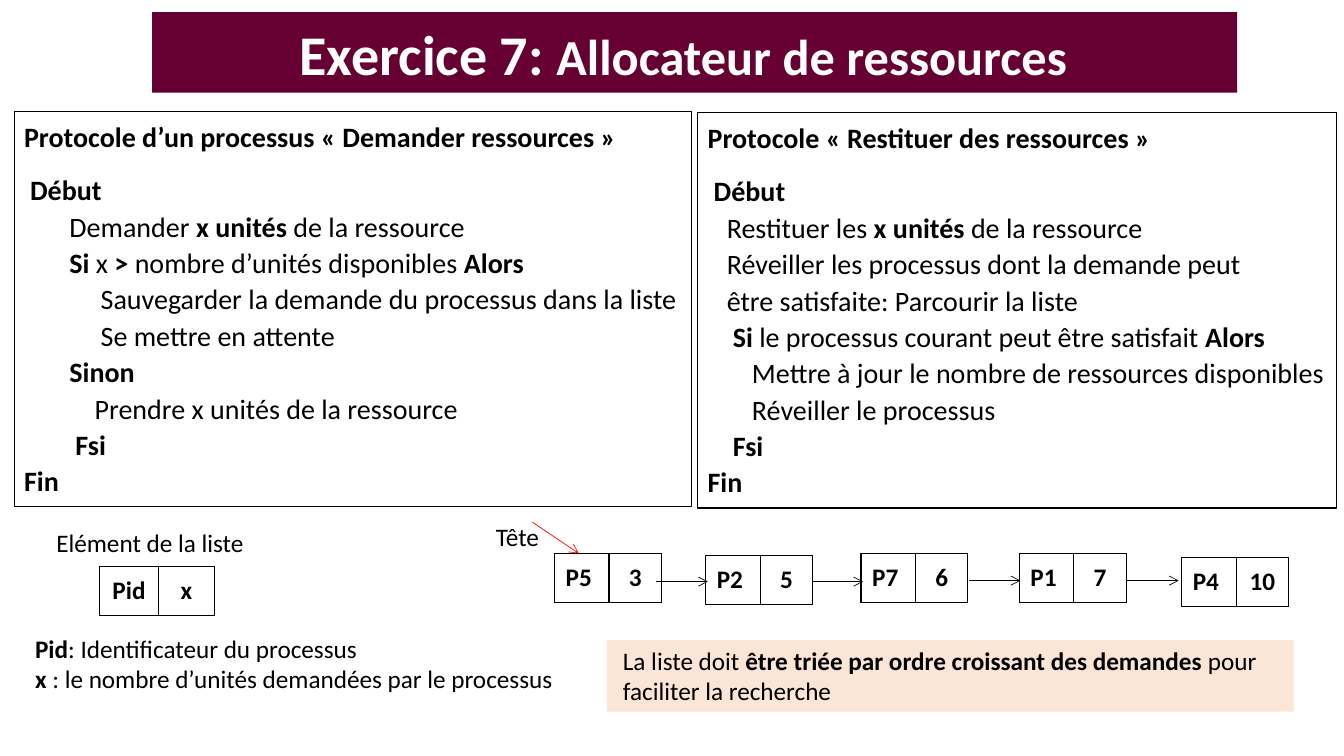
from dataclasses import dataclass

from lxml import etree
from pptx import Presentation
from pptx.dml.color import RGBColor
from pptx.enum.shapes import MSO_CONNECTOR, MSO_SHAPE
from pptx.enum.text import MSO_ANCHOR, MSO_AUTO_SIZE, PP_ALIGN
from pptx.oxml.ns import qn
from pptx.util import Inches, Pt

RECTANGLE = MSO_SHAPE.RECTANGLE
STRAIGHT = MSO_CONNECTOR.STRAIGHT
CENTER, LEFT = PP_ALIGN.CENTER, PP_ALIGN.LEFT
TOP, MIDDLE, BOTTOM = MSO_ANCHOR.TOP, MSO_ANCHOR.MIDDLE, MSO_ANCHOR.BOTTOM


@dataclass(frozen=True)
class Theme:
    font: str = "Calibri"
    ink: str = "000000"
    white: str = "FFFFFF"
    banner: str = "660033"
    note: str = "FBE5D6"
    head_arrow: str = "FF0000"
    title_size: int = 40
    subtitle_size: int = 36
    code_size: int = 20
    text_size: int = 18
    code_spacing: int = 26
    heading_gap: int = 12


THEME = Theme()

# Content: ** switches bold on and off; each line carries its indent in inches
TITLE = ("Exercice 7: ", "Allocateur de ressources")
TITLE_BOX = (1.51, 0.12, 10.76, 0.8)
PROTOCOLS = [
    ((0.14, 1.11, 6.72, 3.92), [
        (0, "**Protocole d’un processus « Demander ressources »**"),
        (0.06, "**Début**"),
        (0.45, "Demander **x unités **de la ressource"),
        (0.45, "**Si **x **> **nombre d’unités disponibles **Alors**"),
        (0.76, "Sauvegarder la demande du processus dans la liste"),
        (0.76, "Se mettre en attente"),
        (0.45, "**Sinon**"),
        (0.7, "Prendre x unités de la ressource"),
        (0.51, "**Fsi**"),
        (0, "**Fin**"),
    ]),
    ((6.92, 1.12, 6.34, 3.92), [
        (0, "**Protocole « Restituer des ressources »**"),
        (0.06, "**Début**"),
        (0.19, "Restituer les **x unités **de la ressource"),
        (0.19, "Réveiller les processus dont la demande peut"),
        (0.19, "être satisfaite: Parcourir la liste"),
        (0.25, "**Si** le processus courant peut être satisfait **Alors**"),
        (0.44, "Mettre à jour le nombre de ressources disponibles"),
        (0.44, "Réveiller le processus"),
        (0.25, "**Fsi**"),
        (0, "**Fin**"),
    ]),
]
ELEMENT = ("Pid", "x")
ELEMENT_AT = (0.99, 5.62)
ELEMENT_COLUMNS = (0.58, 0.56)
LABELS = [
    ((0.46, 5.18, 2.18, 0.4), [(0, "Elément de la liste")]),
    ((4.82, 5.12, 0.92, 0.4), [(0, "Tête")]),
    ((0.25, 6.23, 5.77, 0.71), [
        (0, "**Pid**: Identificateur du processus"),
        (0, "**x** : le nombre d’unités demandées par le processus"),
    ]),
]
NOTE_BOX = (6.02, 6.35, 6.81, 0.71)
NOTE = [
    (0.06, "La liste doit **être triée par ordre croissant des demandes **pour"),
    (0.06, "faciliter la recherche"),
]
# Waiting list: process, units, left, top
WAITING = [
    ("P5", "3", 5.5, 5.49),
    ("P2", "5", 7, 5.51),
    ("P7", "6", 8.54, 5.49),
    ("P1", "7", 10.11, 5.49),
    ("P4", "10", 11.72, 5.53),
]
WAITING_COLUMNS = (0.54, 0.52)
ROW_HEIGHT = 0.49
HEAD_ARROW = (5.28, 5.18, 5.74, 5.49)
LINKS = [(6.51, 5.77), (8.05, 5.77), (9.61, 5.76), (11.18, 5.76)]
LINK_LENGTH = 0.51


def inches(values):
    return [Inches(value) for value in values]


def color(code):
    return RGBColor.from_string(code)


def style(run, size, bold, ink=THEME.ink):
    run.font.name = THEME.font
    run.font.size = Pt(size)
    run.font.bold = bold
    run.font.color.rgb = color(ink)


def write(frame, lines, size):
    frame.word_wrap = True
    frame.vertical_anchor = TOP
    for index, (indent, marked) in enumerate(lines):
        paragraph = frame.paragraphs[0] if index == 0 else frame.add_paragraph()
        paragraph.alignment = LEFT
        paragraph._p.get_or_add_pPr().set("marL", str(Inches(indent)))
        for part, words in enumerate(marked.split("**")):
            if words:
                run = paragraph.add_run()
                run.text = words
                style(run, size, part % 2 == 1)


def add_box(slide, box, fill=None, line=None):
    panel = slide.shapes.add_shape(RECTANGLE, *inches(box))
    panel.shadow.inherit = False
    if fill:
        panel.fill.solid()
        panel.fill.fore_color.rgb = color(fill)
    else:
        panel.fill.background()
    if line:
        panel.line.color.rgb = color(line)
        panel.line.width = Pt(0.75)
    else:
        panel.line.fill.background()
    return panel.text_frame


def add_borders(cell):
    properties = cell._tc.get_or_add_tcPr()
    for position, side in enumerate(("lnL", "lnR", "lnT", "lnB")):
        border = etree.Element(qn(f"a:{side}"), w=str(Pt(1)))
        fill = etree.SubElement(border, qn("a:solidFill"))
        etree.SubElement(fill, qn("a:srgbClr"), val=THEME.ink)
        properties.insert(position, border)


def add_element(slide, words, at, columns, shift=0):
    """Draw a list element; shift moves the first cell's text to the left."""
    size = (sum(columns), ROW_HEIGHT)
    table = slide.shapes.add_table(1, len(columns), *inches(at + size)).table
    table.first_row = table.horz_banding = False
    for index, (word, width) in enumerate(zip(words, columns)):
        table.columns[index].width = Inches(width)
        cell = table.cell(0, index)
        cell.fill.background()
        cell.vertical_anchor = MIDDLE
        cell.text_frame.text = word
        paragraph = cell.text_frame.paragraphs[0]
        paragraph.alignment = CENTER
        style(paragraph.runs[0], THEME.text_size, True)
        add_borders(cell)
    first = table.cell(0, 0)
    first.margin_left, first.margin_right = inches((0.1 - shift, 0.1 + shift))


def add_arrow(slide, ends, ink):
    arrow = slide.shapes.add_connector(STRAIGHT, *inches(ends))
    arrow.line.color.rgb = color(ink)
    arrow.line.width = Pt(0.5)
    etree.SubElement(arrow.line._get_or_add_ln(), qn("a:tailEnd"), type="arrow")
    etree.SubElement(arrow._element.spPr, qn("a:effectLst"))


def main():
    deck = Presentation()
    deck.slide_width, deck.slide_height = inches((13.33, 7.5))
    slide = deck.slides.add_slide(deck.slide_layouts[5])

    # Title banner
    title = slide.shapes.title
    title.left, title.top, title.width, title.height = inches(TITLE_BOX)
    title.fill.solid()
    title.fill.fore_color.rgb = color(THEME.banner)
    frame = title.text_frame
    frame.auto_size = MSO_AUTO_SIZE.NONE
    frame.vertical_anchor = BOTTOM
    frame.margin_right = Inches(0.32)
    heading = frame.paragraphs[0]
    heading.alignment = CENTER
    heading.line_spacing = 0.9
    for words, size in zip(TITLE, (THEME.title_size, THEME.subtitle_size)):
        run = heading.add_run()
        run.text = words
        style(run, size, True, THEME.white)

    # Protocols
    for box, lines in PROTOCOLS:
        protocol = add_box(slide, box, line=THEME.ink)
        write(protocol, lines, THEME.code_size)
        for paragraph in protocol.paragraphs:
            paragraph.line_spacing = Pt(THEME.code_spacing)
        protocol.paragraphs[0].space_after = Pt(THEME.heading_gap)

    # Element model and labels
    add_element(slide, ELEMENT, ELEMENT_AT, ELEMENT_COLUMNS)
    for box, lines in LABELS:
        label = slide.shapes.add_textbox(*inches(box))
        write(label.text_frame, lines, THEME.text_size)

    # Waiting list and its links
    for process, units, left, top in WAITING:
        add_element(slide, (process, units), (left, top), WAITING_COLUMNS, 0.03)
    add_arrow(slide, HEAD_ARROW, THEME.head_arrow)
    for left, y in LINKS:
        add_arrow(slide, (left, y, left + LINK_LENGTH, y), THEME.ink)

    # Note on sorting
    write(add_box(slide, NOTE_BOX, fill=THEME.note), NOTE, THEME.text_size)

    deck.save("out.pptx")


if __name__ == "__main__":
    main()
